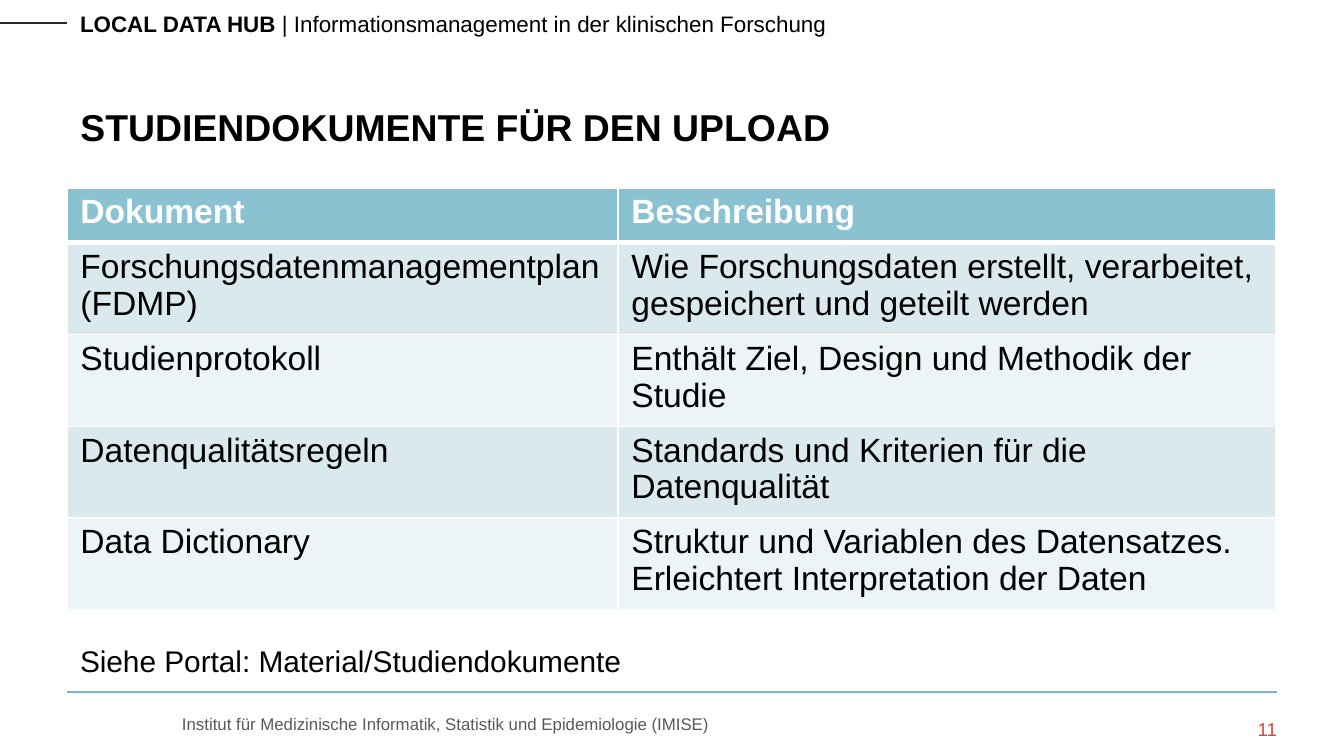
import dataclasses

import lxml.etree
import pptx
import pptx.dml.color
import pptx.enum.shapes
import pptx.enum.text
import pptx.oxml
import pptx.oxml.ns
import pptx.util

EMU_PER_PX = 914400 / 134.4
MARGIN, RIGHT = 67, 1277
ALIGN = pptx.enum.text.PP_ALIGN
ANCHOR = pptx.enum.text.MSO_ANCHOR


@dataclasses.dataclass(frozen=True)
class Theme:
    font: str = "Arial"
    black: str = "000000"
    white: str = "FFFFFF"
    grey: str = "595959"
    red: str = "D8413E"
    dark_line: str = "262A31"
    blue_line: str = "79B2D4"
    header_fill: str = "8AC2D1"
    bands: tuple = ("D9E9EE", "EDF4F7")
    title_size: int = 20
    table_size: int = 18
    note_size: int = 16
    banner_size: int = 12
    number_size: int = 10
    footer_size: int = 9


def px(length):
    return pptx.util.Emu(round(length * EMU_PER_PX))


def rgb(colour):
    return pptx.dml.color.RGBColor.from_string(colour)


class SlideBuilder:
    def __init__(self, slide, theme):
        self.slide = slide
        self.theme = theme

    def style(self, run, size, colour, bold=False):
        run.font.name = self.theme.font
        run.font.size = pptx.util.Pt(size)
        run.font.bold = bold
        run.font.color.rgb = rgb(colour)

    def place(self, shape, box):
        shape.left, shape.top, shape.width, shape.height = map(px, box)

    def title(self, text, box):
        heading = self.slide.shapes.title
        self.place(heading, box)
        frame = heading.text_frame
        frame.text = text
        frame.auto_size = pptx.enum.text.MSO_AUTO_SIZE.NONE
        frame.vertical_anchor = ANCHOR.BOTTOM
        frame.paragraphs[0].alignment = ALIGN.LEFT
        self.style(frame.paragraphs[0].runs[0], self.theme.title_size,
                   self.theme.black, bold=True)

    def text(self, parts, box, size, colour, insets=(13, 7), align=ALIGN.LEFT):
        """Add one line of text; parts are (wording, bold) pairs."""
        frame = self.slide.shapes.add_textbox(*map(px, box)).text_frame
        frame.word_wrap = True
        frame.margin_left = frame.margin_right = px(insets[0])
        frame.margin_top = frame.margin_bottom = px(insets[1])
        line = frame.paragraphs[0]
        line.alignment = align
        for wording, bold in parts:
            run = line.add_run()
            run.text = wording
            self.style(run, size, colour, bold)

    def rule(self, start, end, y, colour):
        line = self.slide.shapes.add_connector(
            pptx.enum.shapes.MSO_CONNECTOR.STRAIGHT,
            px(start), px(y), px(end), px(y))
        line.line.color.rgb = rgb(colour)
        line.line.width = pptx.util.Pt(0.75)
        lxml.etree.SubElement(line._element.spPr, pptx.oxml.ns.qn("a:effectLst"))

    def borders(self, cell, widths):
        """Draw white cell borders; widths maps L, R, T, B to points."""
        properties = cell._tc.get_or_add_tcPr()
        for index, (side, points) in enumerate(widths.items()):
            properties.insert(index, pptx.oxml.parse_xml(
                f'<a:ln{side} {pptx.oxml.ns.nsdecls("a")} w="{points * 12700}">'
                f'<a:solidFill><a:srgbClr val="{self.theme.white}"/></a:solidFill>'
                f'</a:ln{side}>'))

    def table(self, rows, left, top, widths, heights):
        theme = self.theme
        grid = self.slide.shapes.add_table(
            len(rows), len(widths), px(left), px(top),
            px(sum(widths)), px(sum(heights))).table
        for column, width in zip(grid.columns, widths):
            column.width = px(width)
        for r, (row, height) in enumerate(zip(rows, heights)):
            grid.rows[r].height = px(height)
            header = r == 0
            fill = theme.header_fill if header else theme.bands[(r - 1) % 2]
            sides = {"L": 1, "R": 1, "T": 1, "B": 3} if header else {
                "L": 1, "R": 1, "T": 3 if r == 1 else 1, "B": 1}
            for c, wording in enumerate(row):
                cell = grid.cell(r, c)
                cell.text = wording
                cell.fill.solid()
                cell.fill.fore_color.rgb = rgb(fill)
                self.borders(cell, sides)
                line = cell.text_frame.paragraphs[0]
                line.line_spacing = 0.97
                self.style(line.runs[0], theme.table_size,
                           theme.white if header else theme.black, header)


def main():
    theme = Theme()
    deck = pptx.Presentation()
    deck.slide_width, deck.slide_height = px(1344), px(756)
    page = SlideBuilder(deck.slides.add_slide(deck.slide_layouts[5]), theme)

    # Banner and footer
    page.rule(0, MARGIN, 23, theme.dark_line)
    page.rule(MARGIN, RIGHT, 692, theme.blue_line)
    page.text([("Institut für Medizinische Informatik, Statistik und "
                "Epidemiologie (IMISE)", False)],
              (169, 707, 997, 34), theme.footer_size, theme.grey)
    page.text([("LOCAL DATA HUB ", True),
               ("| Informationsmanagement in der klinischen Forschung", False)],
              (MARGIN, 3, 1074, 40), theme.banner_size, theme.black)

    # Title
    page.title("STUDIENDOKUMENTE FÜR DEN UPLOAD", (MARGIN, 44, 1211, 112))

    # Documents and their descriptions
    documents = [
        ("Dokument", "Beschreibung"),
        ("Forschungsdatenmanagementplan (FDMP)",
         "Wie Forschungsdaten erstellt, verarbeitet, gespeichert und geteilt werden"),
        ("Studienprotokoll", "Enthält Ziel, Design und Methodik der Studie"),
        ("Datenqualitätsregeln", "Standards und Kriterien für die Datenqualität"),
        ("Data Dictionary",
         "Struktur und Variablen des Datensatzes. "
         "Erleichtert Interpretation der Daten"),
    ]
    page.table(documents, MARGIN, 188, (551, 658), [55] + [88] * 4)

    # Page number and pointer to the material
    page.text([("11", False)], (1168, 718, 109, 30), theme.number_size,
              theme.red, insets=(0, 0), align=ALIGN.RIGHT)
    page.text([("Siehe Portal: Material/Studiendokumente", False)],
              (MARGIN, 630, 633, 66), theme.note_size, theme.black,
              insets=(13, 13))

    deck.save("out.pptx")


if __name__ == "__main__":
    main()
